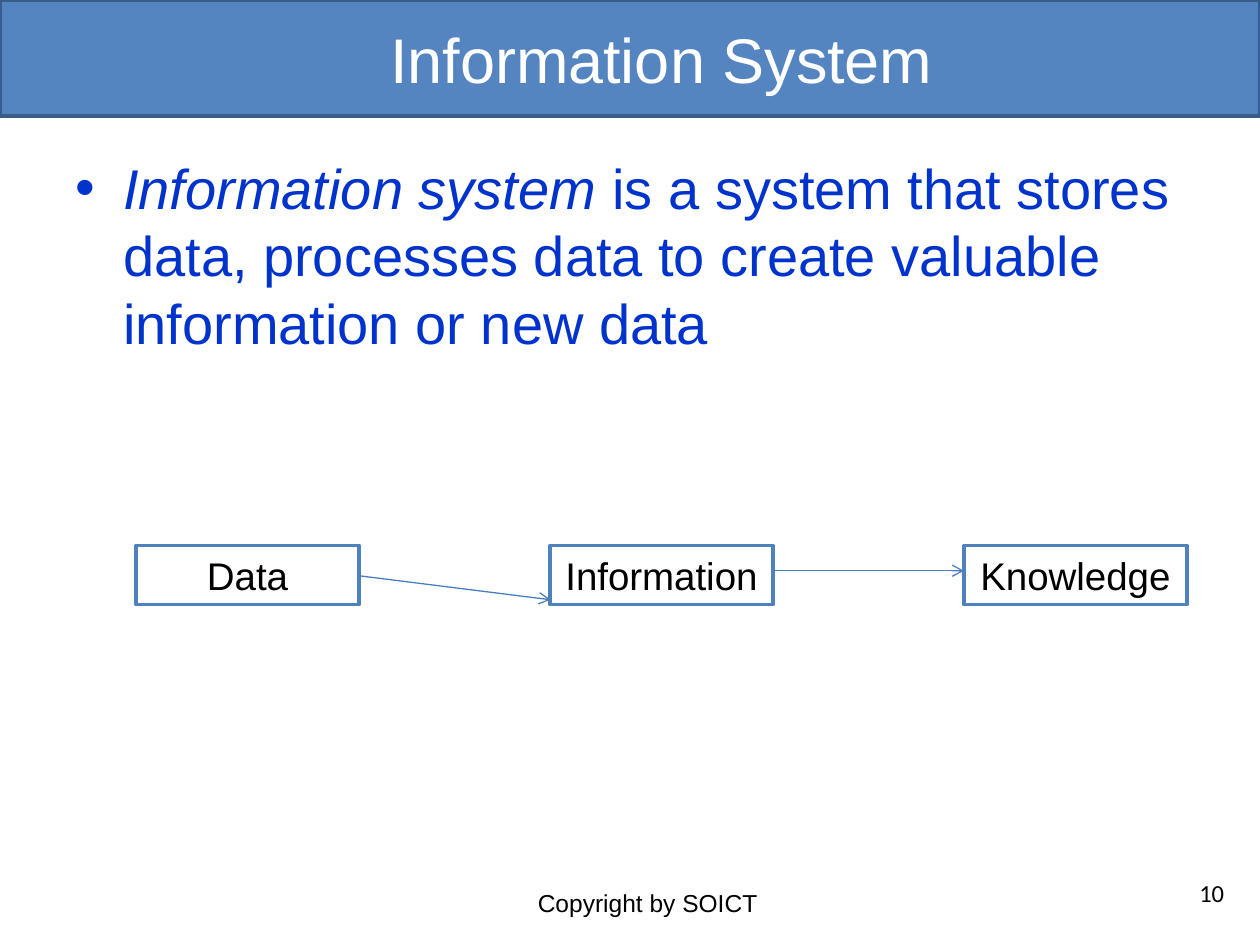
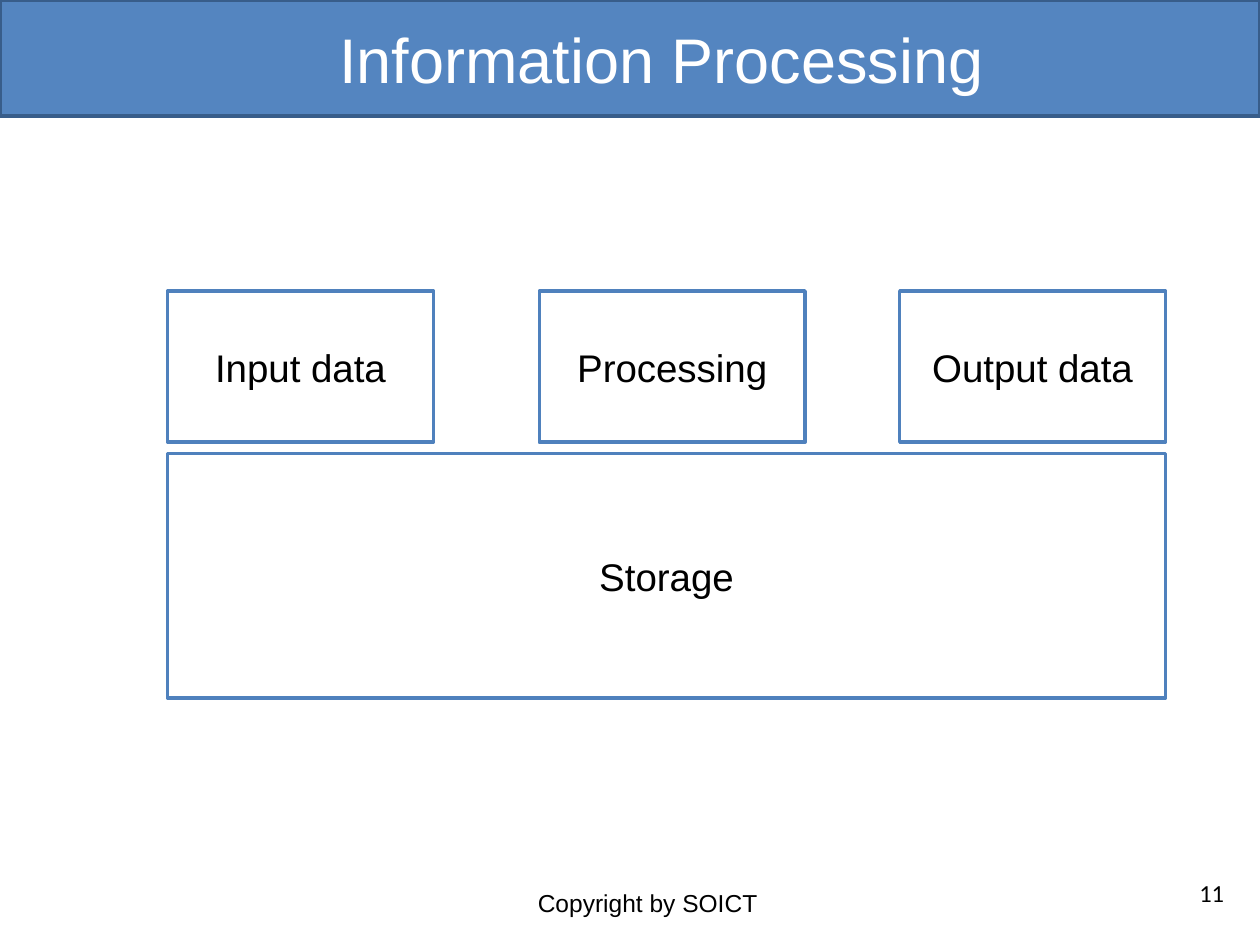
from lxml import etree
from pptx import Presentation
from pptx.dml.color import RGBColor
from pptx.enum import shapes, text
from pptx.oxml.ns import qn
from pptx.util import Inches, Pt

WHITE = RGBColor(0xFF, 0xFF, 0xFF)
BLACK = RGBColor(0x00, 0x00, 0x00)
BODY_BLUE = RGBColor(0x00, 0x33, 0xCC)
BAND_FILL = RGBColor(0x54, 0x85, 0xC0)
BAND_LINE = RGBColor(0x38, 0x5D, 0x8A)
BOX_LINE = RGBColor(0x4F, 0x81, 0xBD)
ARROW_LINE = RGBColor(0x4A, 0x7E, 0xBB)

CENTER = text.PP_ALIGN.CENTER
LEFT = text.PP_ALIGN.LEFT
MIDDLE = text.MSO_ANCHOR.MIDDLE


def write(shape, runs, size, color, align=LEFT, font="Arial"):
    """Fill the first paragraph of a shape with (wording, italic) runs."""
    shape.text_frame.word_wrap = True
    paragraph = shape.text_frame.paragraphs[0]
    paragraph.alignment = align
    for wording, italic in runs:
        run = paragraph.add_run()
        run.text = wording
        run.font.name = font
        run.font.size = Pt(size)
        run.font.italic = italic
        run.font.color.rgb = color
    return paragraph


def add_box(slide, left, top, width, height, line, fill=None, label=None):
    box = slide.shapes.add_shape(
        shapes.MSO_SHAPE.RECTANGLE,
        Inches(left), Inches(top), Inches(width), Inches(height))
    box.shadow.inherit = False
    box.line.color.rgb = line
    box.line.width = Pt(2)
    if fill is None:
        box.fill.background()
    else:
        box.fill.solid()
        box.fill.fore_color.rgb = fill
    if label:
        box.text_frame.vertical_anchor = MIDDLE
        write(box, [(label, False)], 22, BLACK, CENTER)


prs = Presentation()
prs.slide_width, prs.slide_height = Inches(10), Inches(7.5)

# Shared title band, page number and footer
slides = []
for number, heading in enumerate(["Information System", "Information Processing"], 10):
    slide = prs.slides.add_slide(prs.slide_layouts[6])
    add_box(slide, 0, 0, 10, 0.92, BAND_LINE, BAND_FILL)

    title = slide.shapes.add_textbox(Inches(0.5), 0, Inches(9.5), Inches(0.92))
    title.text_frame.vertical_anchor = MIDDLE
    write(title, [(heading, False)], 36, WHITE, CENTER)

    page = slide.shapes.add_textbox(Inches(9.42), Inches(6.92), Inches(0.5), Inches(0.4))
    write(page, [(str(number), False)], 14, BLACK, font="Calibri")

    footer = slide.shapes.add_textbox(Inches(4.17), Inches(7), Inches(3.17), Inches(0.4))
    write(footer, [("Copyright by SOICT", False)], 14, BLACK)
    slides.append(slide)

system_slide, processing_slide = slides

# Information System: definition
definition = system_slide.shapes.add_textbox(
    Inches(0.5), Inches(1.17), Inches(9), Inches(5.75))
paragraph = write(definition, [
    ("Information system ", True),
    ("is a system that stores data, processes data to create valuable "
     "information or new data", False),
], 32, BODY_BLUE)
props = paragraph._p.get_or_add_pPr()
props.set("marL", str(Inches(0.38)))
props.set("indent", str(-Inches(0.38)))
bullet_color = etree.SubElement(props, qn("a:buClr"))
etree.SubElement(bullet_color, qn("a:srgbClr")).set("val", str(BODY_BLUE))
etree.SubElement(props, qn("a:buFont")).set("typeface", "Arial")
etree.SubElement(props, qn("a:buChar")).set("char", "•")

# Information System: from data to knowledge
for column, stage in enumerate(["Data", "Information", "Knowledge"]):
    add_box(system_slide, 1.08 + 3.285 * column, 4.33, 1.77, 0.47, BOX_LINE, label=stage)

for x1, y1, x2, y2 in [(2.85, 4.57, 4.37, 4.76), (6.13, 4.53, 7.65, 4.53)]:
    arrow = system_slide.shapes.add_connector(
        shapes.MSO_CONNECTOR.STRAIGHT, Inches(x1), Inches(y1), Inches(x2), Inches(y2))
    arrow.line.color.rgb = ARROW_LINE
    arrow.line.width = Pt(0.75)
    etree.SubElement(arrow.line._get_or_add_ln(), qn("a:tailEnd")).set("type", "arrow")
    etree.SubElement(arrow._element.spPr, qn("a:effectLst"))

# Information Processing: three steps resting on storage
for left, step in [(1.33, "Input data"), (4.28, "Processing"), (7.14, "Output data")]:
    add_box(processing_slide, left, 2.31, 2.11, 1.2, BOX_LINE, label=step)
add_box(processing_slide, 1.33, 3.6, 7.92, 1.94, BOX_LINE, label="Storage")

prs.save("out.pptx")
